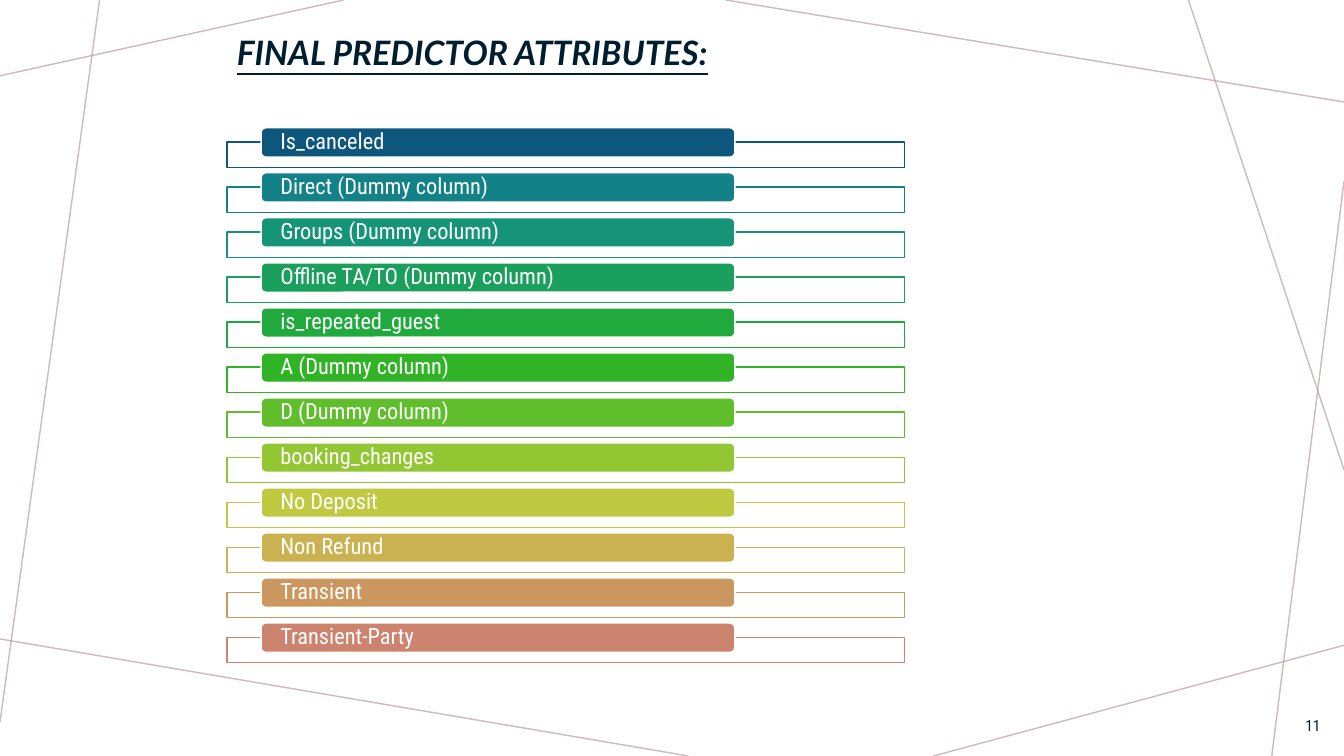
from lxml import etree
from pptx import Presentation
from pptx.dml.color import RGBColor
from pptx.enum.shapes import MSO_CONNECTOR, MSO_SHAPE
from pptx.enum.text import MSO_ANCHOR, PP_ALIGN
from pptx.oxml.ns import qn
from pptx.util import Cm, Pt

RECT, ROUNDED = MSO_SHAPE.RECTANGLE, MSO_SHAPE.ROUNDED_RECTANGLE
STRAIGHT = MSO_CONNECTOR.STRAIGHT
MIDDLE = MSO_ANCHOR.MIDDLE
LEFT, RIGHT = PP_ALIGN.LEFT, PP_ALIGN.RIGHT

# Content
TITLE = "FINAL PREDICTOR ATTRIBUTES:"
PAGE = "11"
ATTRIBUTES = [
    ("Is_canceled", "0E577C"),
    ("Direct (Dummy column)", "128288"),
    ("Groups (Dummy column)", "169477"),
    ("Offline TA/TO (Dummy column)", "1B9F5C"),
    ("is_repeated_guest", "20AA3D"),
    ("A (Dummy column)", "30B426"),
    ("D (Dummy column)", "60BE2C"),
    ("booking_changes", "92C733"),
    ("No Deposit", "BFCA40"),
    ("Non Refund", "CAB250"),
    ("Transient", "CB975F"),
    ("Transient-Party", "CC846E"),
]
INK, WHITE, MAUVE = "001E2E", "FFFFFF", "BA9CA0"
HEAD_FONT, BODY_FONT = "Lato", "Roboto Condensed"

# Layout in cm
WIDTH, HEIGHT = 33.87, 19.05
BACKGROUND_LINES = [  # x1, y1, x2, y2
    (8.66, 0, 0, 1.91),
    (2.51, 0, 0, 18.19),
    (17.35, HEIGHT, 0, 16.1),
    (WIDTH, 16.26, 23.52, HEIGHT),
    (WIDTH, 4.57, 32.05, HEIGHT),
    (WIDTH, 11.84, 29.95, 0),
    (WIDTH, 2.57, 18.29, 0),
]
FIRST_TOP, LAST_TOP = 3.58, 16.06
FRAME_LEFT, FRAME_W, FRAME_H = 5.72, 17.07, 0.64
BAR_LEFT, BAR_W, BAR_H, BAR_RISE = 6.58, 11.94, 0.74, 0.36


def rgb(value):
    return RGBColor.from_string(value)


def set_alpha(fill_parent, percent):
    color = fill_parent.find(".//" + qn("a:srgbClr"))
    etree.SubElement(color, qn("a:alpha")).set("val", str(percent * 1000))


def add_box(kind, x, y, w, h, fill, line):
    sp = slide.shapes.add_shape(kind, Cm(x), Cm(y), Cm(w), Cm(h))
    sp.shadow.inherit = False
    sp.fill.solid()
    sp.fill.fore_color.rgb = rgb(fill)
    sp.line.color.rgb = rgb(line)
    sp.line.width = Pt(1)
    return sp


def write(sp, text, size, color, font=BODY_FONT, align=LEFT, spacing=0.9):
    tf = sp.text_frame
    tf.word_wrap = True
    tf.vertical_anchor = MIDDLE
    tf.text = text
    p = tf.paragraphs[0]
    p.alignment = align
    p.line_spacing = spacing
    r = p.runs[0]
    r.font.size, r.font.name = Pt(size), font
    r.font.color.rgb = rgb(color)
    return r


prs = Presentation()
prs.slide_width, prs.slide_height = Cm(WIDTH), Cm(HEIGHT)
slide = prs.slides.add_slide(prs.slide_layouts[6])

# Background lines
for ends in BACKGROUND_LINES:
    cxn = slide.shapes.add_connector(STRAIGHT, *map(Cm, ends))
    cxn.line.color.rgb = rgb(MAUVE)
    cxn.line.width = Pt(1)
    sp_pr = cxn._element.spPr
    set_alpha(sp_pr, 70)
    etree.SubElement(sp_pr, qn("a:effectLst"))

# Title
title = slide.shapes.add_textbox(Cm(5.72), Cm(0.69), Cm(14.35), Cm(1.37))
r = write(title, TITLE, 24, INK, HEAD_FONT)
r.font.bold = r.font.italic = r.font.underline = True

# Attribute list: an open frame with a labelled bar over its top edge
pitch = (LAST_TOP - FIRST_TOP) / (len(ATTRIBUTES) - 1)
for i, (label, color) in enumerate(ATTRIBUTES):
    top = FIRST_TOP + i * pitch
    frame = add_box(RECT, FRAME_LEFT, top, FRAME_W, FRAME_H, WHITE, color)
    set_alpha(frame._element.spPr.find(qn("a:solidFill")), 90)
    bar = add_box(ROUNDED, BAR_LEFT, top - BAR_RISE, BAR_W, BAR_H, color, WHITE)
    tf = bar.text_frame
    tf.margin_left = tf.margin_right = Cm(0.45)
    tf.margin_top = tf.margin_bottom = 0
    write(bar, label, 16, WHITE)

# Page number
number = slide.shapes.add_textbox(Cm(32.23), Cm(17.78), Cm(1.3), Cm(1.02))
write(number, PAGE, 11, INK, align=RIGHT, spacing=1.0)

prs.save("out.pptx")
